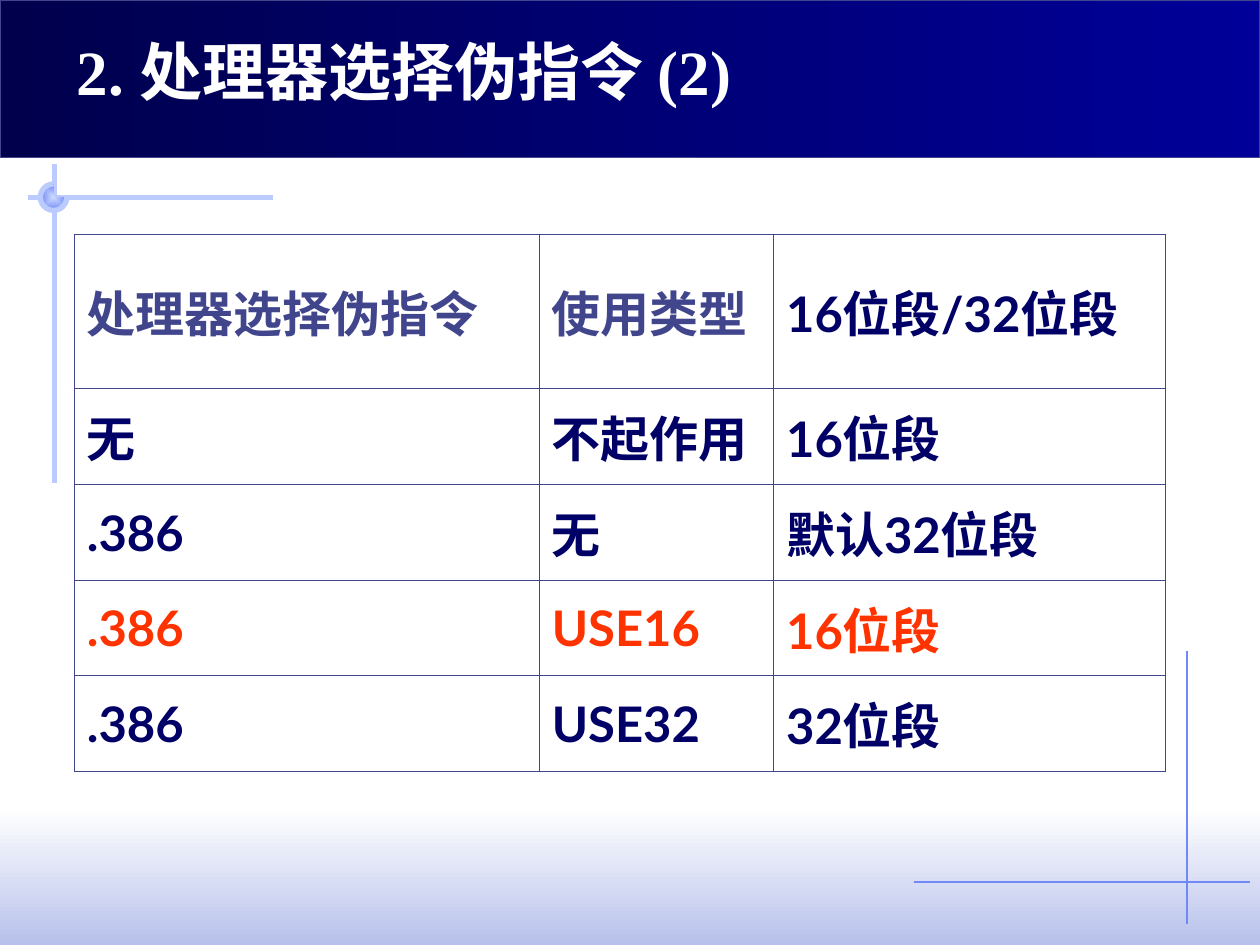
from dataclasses import dataclass

from lxml import etree
from pptx import Presentation
from pptx.dml.color import RGBColor
from pptx.enum.shapes import MSO_CONNECTOR, MSO_SHAPE
from pptx.enum.text import MSO_ANCHOR, MSO_AUTO_SIZE
from pptx.oxml.ns import qn
from pptx.util import Inches, Pt

RECTANGLE, PIE, ARC = MSO_SHAPE.RECTANGLE, MSO_SHAPE.PIE, MSO_SHAPE.ARC
STRAIGHT = MSO_CONNECTOR.STRAIGHT
MIDDLE = MSO_ANCHOR.MIDDLE
FIT_SHAPE = MSO_AUTO_SIZE.SHAPE_TO_FIT_TEXT


@dataclass(frozen=True)
class Theme:
    white: str = "FFFFFF"
    footer: str = "B7C1EB"
    bar_dark: str = "00004D"
    bar_light: str = "000099"
    slate: str = "40458C"
    navy: str = "000066"
    red: str = "FF3300"
    blue: str = "6F89F7"
    pale_blue: str = "BBCBFD"
    ball: str = "CFDBFD"
    title_size: int = 36
    table_size: int = 28
    title_font: str = "Times New Roman"
    table_font: str = "Lato"


THEME = Theme()

COLUMN_WIDTHS = [3.69, 1.86, 3.11]
ROW_HEIGHT = 0.76
TABLE_ROWS = [
    ["处理器选择伪指令", "使用类型", "16位段/32位段"],
    ["无", "不起作用", "16位段"],
    [".386", "无", "默认32位段"],
    [".386", "USE16", "16位段"],
    [".386", "USE32", "32位段"],
]
HIGHLIGHT_ROW = 3


def format_font(paragraph, name, size, color):
    values = {"name": name, "size": Pt(size), "bold": True}
    for attribute, value in values.items():
        setattr(paragraph.font, attribute, value)
    paragraph.font.color.rgb = RGBColor.from_string(color)


def format_line(line, color, width):
    line.color.rgb = RGBColor.from_string(color)
    line.width = Pt(width)


def add_plain_shape(slide, kind, box):
    shape = slide.shapes.add_shape(kind, *map(Inches, box))
    shape.shadow.inherit = False
    shape.fill.background()
    shape.line.fill.background()
    return shape


def fill_gradient(shape, colors, angle=0):
    """Angle is counter-clockwise in degrees."""
    shape.fill.gradient()
    shape.fill.gradient_angle = angle
    for stop, color in zip(shape.fill.gradient_stops, colors):
        stop.color.rgb = RGBColor.from_string(color)


def center_gradient(shape):
    """Make the gradient spread from the middle of the shape."""
    gradient = shape.element.spPr.find(qn("a:gradFill"))
    linear = gradient.find(qn("a:lin"))
    spread = etree.Element(qn("a:path"), path="rect")
    sides = dict.fromkeys("ltrb", "50000")
    etree.SubElement(spread, qn("a:fillToRect"), sides)
    gradient.replace(linear, spread)


def add_line(slide, start, end, color, width):
    points = map(Inches, (*start, *end))
    connector = slide.shapes.add_connector(STRAIGHT, *points)
    format_line(connector.line, color, width)
    etree.SubElement(connector.element.spPr, qn("a:effectLst"))


def add_ball(slide):
    box = (0.32, 1.46, 0.21, 0.21)
    ball = add_plain_shape(slide, PIE, box)
    fill_gradient(ball, (THEME.ball, THEME.blue))
    center_gradient(ball)
    rim = add_plain_shape(slide, ARC, box)
    rim.adjustments[0] = 0
    rim.adjustments[1] = 162  # 270 degrees
    format_line(rim.line, THEME.pale_blue, 3)


def add_decoration(slide):
    footer = add_plain_shape(slide, RECTANGLE, (0, 6.42, 10, 1.08))
    fill_gradient(footer, (THEME.white, THEME.footer), 270)
    add_line(slide, (9.42, 5.17), (9.42, 7.33), THEME.blue, 0.75)
    add_line(slide, (2.17, 1.57), (0.22, 1.57), THEME.pale_blue, 3)
    add_line(slide, (0.43, 1.3), (0.43, 3.83), THEME.pale_blue, 3)
    add_ball(slide)
    title_bar = add_plain_shape(slide, RECTANGLE, (0, 0, 10, 1.25))
    fill_gradient(title_bar, (THEME.bar_dark, THEME.bar_light))
    format_line(title_bar.line, THEME.slate, 0.75)
    add_line(slide, (7.25, 7), (9.92, 7), THEME.blue, 0.75)


def add_title(slide, text):
    box = map(Inches, (0.51, 0.21, 6.14, 0.7))
    frame = slide.shapes.add_textbox(*box).text_frame
    frame.word_wrap = True
    frame.auto_size = FIT_SHAPE
    paragraph = frame.paragraphs[0]
    paragraph.text = text
    format_font(paragraph, THEME.title_font, THEME.title_size, THEME.white)


def add_borders(cell):
    properties = cell._tc.get_or_add_tcPr()
    for index, side in enumerate(("lnL", "lnR", "lnT", "lnB")):
        border = etree.Element(qn(f"a:{side}"), w=str(Pt(0.45)))
        fill = etree.SubElement(border, qn("a:solidFill"))
        etree.SubElement(fill, qn("a:srgbClr"), val=THEME.slate)
        properties.insert(index, border)


def cell_style(row, column):
    """Return the font name and colour of a cell."""
    if row == 0 and column < 2:
        return THEME.title_font, THEME.slate
    color = THEME.red if row == HIGHLIGHT_ROW else THEME.navy
    return THEME.table_font, color


def add_directive_table(slide):
    row_count, column_count = len(TABLE_ROWS), len(COLUMN_WIDTHS)
    box = (0.59, 1.86, sum(COLUMN_WIDTHS), row_count * ROW_HEIGHT)
    table = slide.shapes.add_table(
        row_count, column_count, *map(Inches, box)).table
    table.first_row = table.horz_banding = False
    for column, width in zip(table.columns, COLUMN_WIDTHS):
        column.width = Inches(width)
    for row, texts in enumerate(TABLE_ROWS):
        for column, text in enumerate(texts):
            cell = table.cell(row, column)
            cell.fill.background()
            cell.vertical_anchor = MIDDLE
            add_borders(cell)
            paragraph = cell.text_frame.paragraphs[0]
            paragraph.text = text
            name, color = cell_style(row, column)
            format_font(paragraph, name, THEME.table_size, color)


def main():
    presentation = Presentation()
    presentation.slide_width = Inches(10)
    presentation.slide_height = Inches(7.5)
    slide = presentation.slides.add_slide(presentation.slide_layouts[6])
    add_decoration(slide)
    add_directive_table(slide)
    add_title(slide, "2. 处理器选择伪指令 (2)")
    presentation.save("out.pptx")


if __name__ == "__main__":
    main()
